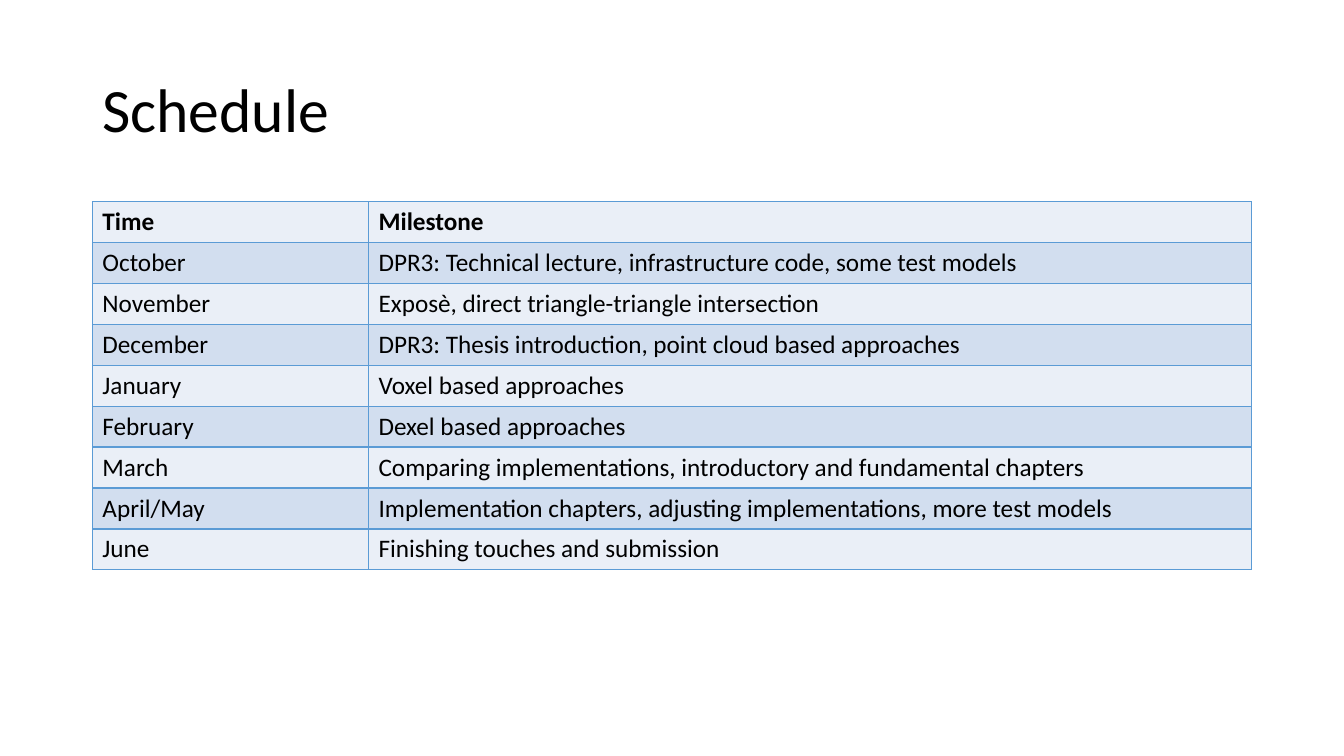
from typing import NamedTuple

from lxml import etree
from pptx import Presentation
from pptx import util as u
from pptx.dml.color import RGBColor
from pptx.enum import text
from pptx.oxml import ns

PX = 9525  # EMU per px, 96 px to the inch
FONT = "Calibri"
BLACK = RGBColor(0x00, 0x00, 0x00)
PALE_BLUE = RGBColor(0xEA, 0xEF, 0xF7)
LIGHT_BLUE = RGBColor(0xD2, 0xDE, 0xEF)
BORDER_BLUE = RGBColor(0x5B, 0x9B, 0xD5)

LEFT, WIDTH = 88, 1104
TITLE_TOP, TITLE_HEIGHT = 38, 139
TABLE_TOP, ROW_HEIGHT = 192, 39
TIME_WIDTH = 263


class Milestone(NamedTuple):
    time: str
    goal: str


SCHEDULE = [
    Milestone("Time", "Milestone"),
    Milestone("October", "DPR3: Technical lecture, infrastructure code, some test models"),
    Milestone("November", "Exposè, direct triangle-triangle intersection"),
    Milestone("December", "DPR3: Thesis introduction, point cloud based approaches"),
    Milestone("January", "Voxel based approaches"),
    Milestone("February", "Dexel based approaches"),
    Milestone("March", "Comparing implementations, introductory and fundamental chapters"),
    Milestone("April/May", "Implementation chapters, adjusting implementations, more test models"),
    Milestone("June", "Finishing touches and submission"),
]


def px(length: int) -> u.Emu:
    return u.Emu(length * PX)


def write(frame, wording: str, *, size: int, bold: bool = False, spacing: float = 1.0) -> None:
    para = frame.paragraphs[0]
    para.line_spacing = spacing
    span = para.add_run()
    span.text = wording
    span.font.name = FONT
    span.font.size = u.Pt(size)
    span.font.bold = bold
    span.font.color.rgb = BLACK


def add_borders(cell, color: RGBColor, width: u.Length) -> None:
    properties = cell._tc.get_or_add_tcPr()
    for side in ("a:lnL", "a:lnR", "a:lnT", "a:lnB"):
        line = etree.SubElement(properties, ns.qn(side), w=str(width))
        fill = etree.SubElement(line, ns.qn("a:solidFill"))
        etree.SubElement(fill, ns.qn("a:srgbClr"), val=str(color))


def add_title(page, wording: str) -> None:
    box = page.shapes.add_textbox(px(LEFT), px(TITLE_TOP), px(WIDTH), px(TITLE_HEIGHT))
    box.text_frame.word_wrap = True
    box.text_frame.vertical_anchor = text.MSO_ANCHOR.MIDDLE
    write(box.text_frame, wording, size=44, spacing=0.9)


def add_schedule(page, milestones: list[Milestone]) -> None:
    count = len(milestones)
    table = page.shapes.add_table(
        count, 2, px(LEFT), px(TABLE_TOP), px(WIDTH), px(ROW_HEIGHT * count)
    ).table
    table.columns[0].width = px(TIME_WIDTH)
    table.columns[1].width = px(WIDTH - TIME_WIDTH)
    for index, milestone in enumerate(milestones):
        table.rows[index].height = px(ROW_HEIGHT)
        for cell, wording in zip(table.rows[index].cells, milestone):
            write(cell.text_frame, wording, size=18, bold=index == 0)
            add_borders(cell, BORDER_BLUE, u.Pt(1))
            cell.fill.solid()
            cell.fill.fore_color.rgb = LIGHT_BLUE if index % 2 else PALE_BLUE


def main() -> None:
    deck = Presentation()
    deck.slide_width, deck.slide_height = px(1280), px(720)
    page = deck.slides.add_slide(deck.slide_layouts[6])  # blank layout

    # Heading
    add_title(page, "Schedule")

    # Timetable with alternating row colours
    add_schedule(page, SCHEDULE)

    deck.save("out.pptx")


if __name__ == "__main__":
    main()
